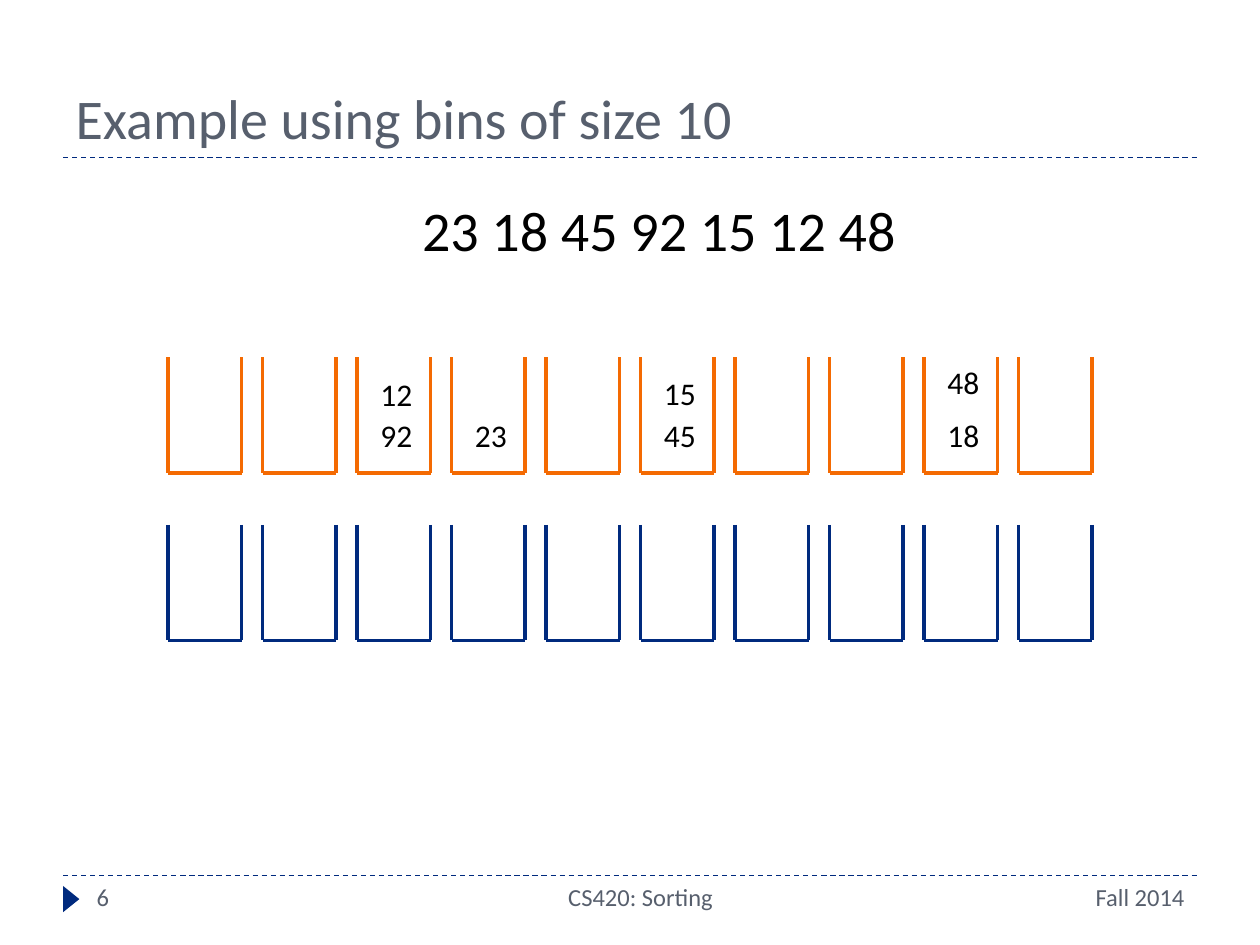
import pptx
import pptx.util
import pptx.dml.color
import pptx.enum.dml
import pptx.enum.shapes
import pptx.enum.text
import pptx.oxml.ns
import lxml.etree

Cm = pptx.util.Cm
Pt = pptx.util.Pt
Align = pptx.enum.text.PP_ALIGN
COLORS = {"orange": "F46A02", "navy": "002A7E", "slate": "575F6D", "black": "000000"}
RGB = {key: pptx.dml.color.RGBColor.from_string(value) for key, value in COLORS.items()}

deck = pptx.Presentation()
deck.slide_width = Cm(25.4)
deck.slide_height = Cm(19.05)
slide = deck.slides.add_slide(deck.slide_layouts[5])


def add_line(x1, y1, x2, y2, color, width):
    line = slide.shapes.add_connector(
        pptx.enum.shapes.MSO_CONNECTOR.STRAIGHT, Cm(x1), Cm(y1), Cm(x2), Cm(y2))
    line.line.color.rgb = RGB[color]
    line.line.width = Pt(width)
    lxml.etree.SubElement(line.element.spPr, pptx.oxml.ns.qn("a:effectLst"))
    return line


def add_text(text, left, top, width, height, size, color, align=Align.LEFT, wrap=False):
    frame = slide.shapes.add_textbox(Cm(left), Cm(top), Cm(width), Cm(height)).text_frame
    frame.word_wrap = wrap
    frame.text = text
    paragraph = frame.paragraphs[0]
    paragraph.alignment = align
    paragraph.font.name = "Calibri"
    paragraph.font.size = Pt(size)
    paragraph.font.color.rgb = RGB[color]


for rule_y in (17.65, 3.17):
    rule = add_line(1.27, rule_y, 24.13, rule_y, "navy", 0.75)
    rule.line.dash_style = pptx.enum.dml.MSO_LINE.DASH

page_marker = slide.shapes.add_shape(
    pptx.enum.shapes.MSO_SHAPE.ISOSCELES_TRIANGLE, Cm(1.17), Cm(17.96), Cm(0.53), Cm(0.33))
page_marker.rotation = 90
page_marker.shadow.inherit = False
page_marker.fill.solid()
page_marker.fill.fore_color.rgb = RGB["navy"]
page_marker.line.fill.background()

title = slide.shapes.title
title.left, title.top, title.width, title.height = Cm(1.27), Cm(0.43), Cm(22.86), Cm(2.74)
title.text_frame.text = "Example using bins of size 10"
title.text_frame.vertical_anchor = pptx.enum.text.MSO_ANCHOR.BOTTOM
heading = title.text_frame.paragraphs[0]
heading.alignment = Align.LEFT
heading.font.name = "Calibri"
heading.font.size = Pt(32)
heading.font.color.rgb = RGB["slate"]

for footer, left, width, align in (
    ("Fall 2014", 17.78, 6.35, Align.RIGHT),
    ("CS420: Sorting", 8.05, 9.73, Align.CENTER),
    ("6", 1.7, 5.51, Align.LEFT),
):
    add_text(footer, left, 17.65, width, 1.02, 14, "slate", align, True)

add_text("23 18 45 92 15 12 48", 8.26, 3.81, 10.16, 1.62, 32, "black")

FIRST_BIN, BIN_WIDTH, BIN_HEIGHT = 3.39, 1.48, 2.33
BIN_PITCH = 19.05 / 10
for bin_top, color in ((7.2, "orange"), (10.58, "navy")):
    bottom = bin_top + BIN_HEIGHT
    for digit in range(10):
        left = FIRST_BIN + digit * BIN_PITCH
        right = left + BIN_WIDTH
        add_line(left, bin_top, left, bottom, color, 2)
        add_line(right, bin_top, right, bottom, color, 2)
        add_line(left, bottom, right, bottom, color, 2)

for number, digit, top in (
    ("23", 3, 8.26), ("18", 8, 8.26), ("45", 5, 8.26), ("15", 5, 7.42),
    ("92", 2, 8.26), ("12", 2, 7.44), ("48", 8, 7.2),
):
    add_text(number, FIRST_BIN + digit * BIN_PITCH + 0.22, top, 1.17, 1.02, 18, "black")

deck.save("out.pptx")
